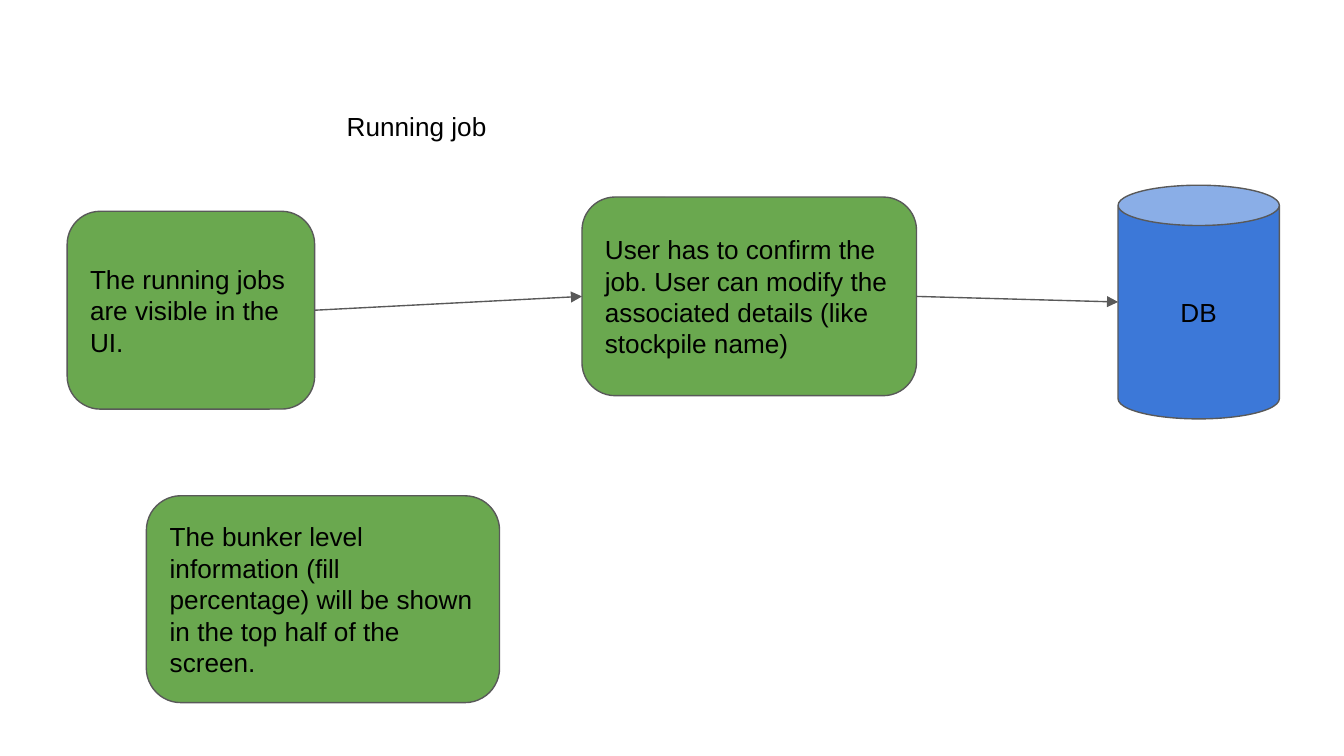
from dataclasses import dataclass

import pptx
import pptx.dml.color
import pptx.enum.shapes
import pptx.enum.text
import pptx.oxml
import pptx.oxml.ns
import pptx.util
from lxml import etree

Pt = pptx.util.Pt
Shapes = pptx.enum.shapes.MSO_SHAPE
Align = pptx.enum.text.PP_ALIGN
Anchor = pptx.enum.text.MSO_ANCHOR

COLORS = {"step": "6AA84F", "database": "3C78D8", "line": "595959", "text": "000000"}
FONT = "Arial"
FONT_SIZE = 14
INSET = 7.2
LINE_WIDTH = 0.75
LEFT_SIDE, RIGHT_SIDE = 1, 3


@dataclass
class Node:
    text: str
    left: float
    top: float
    width: float
    height: float
    kind: Shapes = Shapes.ROUNDED_RECTANGLE
    color: str = "step"
    adjustment: float = 0.167
    align: Align = Align.LEFT


TITLE = Node("Running job", 178.6, 51.8, 111.6, 56.2)
JOBS = Node("The running jobs are visible in the UI.", 36, 113.2, 132.6, 106)
CONFIRM = Node(
    "User has to confirm the job. User can modify the associated details "
    "(like stockpile name)",
    311.8, 105.6, 179.2, 106.4,
)
DATABASE = Node("DB", 599, 99.2, 86.4, 125.2, Shapes.CAN, "database", 0.25, Align.CENTER)
BUNKER = Node(
    "The bunker level information (fill percentage) will be shown in the top half "
    "of the screen.",
    78.4, 265.6, 189.2, 110.8,
)


def rgb(name: str) -> pptx.dml.color.RGBColor:
    return pptx.dml.color.RGBColor.from_string(COLORS[name])


def write_text(shape, node: Node, anchor: Anchor) -> None:
    frame = shape.text_frame
    frame.word_wrap = True
    frame.vertical_anchor = anchor
    frame.margin_left = frame.margin_right = Pt(INSET)
    frame.margin_top = frame.margin_bottom = Pt(INSET)
    para = frame.paragraphs[0]
    para.alignment = node.align
    span = para.add_run()
    span.text = node.text
    span.font.name = FONT
    span.font.size = Pt(FONT_SIZE)
    span.font.color.rgb = rgb("text")


def draw_title(page, node: Node) -> None:
    box = page.shapes.add_textbox(
        Pt(node.left), Pt(node.top), Pt(node.width), Pt(node.height)
    )
    write_text(box, node, Anchor.TOP)


def draw_node(page, node: Node):
    shape = page.shapes.add_shape(
        node.kind, Pt(node.left), Pt(node.top), Pt(node.width), Pt(node.height)
    )
    shape.adjustments[0] = node.adjustment
    shape.shadow.inherit = False
    shape.fill.solid()
    shape.fill.fore_color.rgb = rgb(node.color)
    shape.line.color.rgb = rgb("line")
    shape.line.width = Pt(LINE_WIDTH)
    write_text(shape, node, Anchor.MIDDLE)
    return shape


def draw_arrow(page, start, end):
    """Draw an arrow from the right side of start to the left side of end."""
    arrow = page.shapes.add_connector(
        pptx.enum.shapes.MSO_CONNECTOR.STRAIGHT,
        start.left + start.width, start.top + start.height // 2,
        end.left, end.top + end.height // 2,
    )
    arrow.begin_connect(start, RIGHT_SIDE)
    if end.auto_shape_type == Shapes.ROUNDED_RECTANGLE:
        arrow.end_connect(end, LEFT_SIDE)
    arrow.line.color.rgb = rgb("line")
    arrow.line.width = Pt(LINE_WIDTH)
    qn = pptx.oxml.ns.qn
    etree.SubElement(arrow.line._get_or_add_ln(), qn("a:tailEnd"), type="triangle")
    etree.SubElement(arrow._element.spPr, qn("a:effectLst"))


def main() -> None:
    deck = pptx.Presentation()
    deck.slide_width, deck.slide_height = Pt(720), Pt(405)
    page = deck.slides.add_slide(deck.slide_layouts[6])
    draw_title(page, TITLE)
    jobs, confirm, database = (draw_node(page, node) for node in (JOBS, CONFIRM, DATABASE))
    draw_arrow(page, jobs, confirm)
    draw_arrow(page, confirm, database)
    draw_node(page, BUNKER)
    deck.save("out.pptx")


if __name__ == "__main__":
    main()
